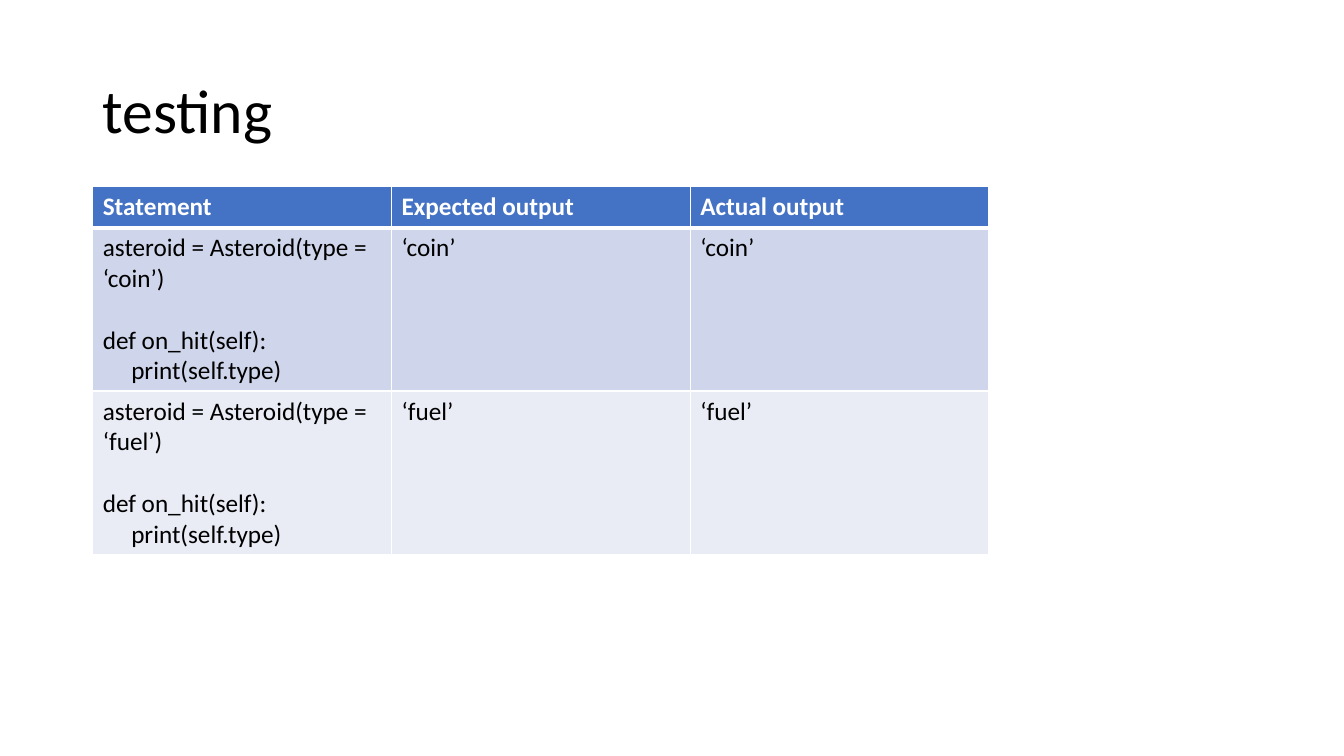
from dataclasses import dataclass

from lxml.etree import SubElement
from pptx import Presentation
from pptx.dml.color import RGBColor
from pptx.enum.text import MSO_ANCHOR
from pptx.oxml.ns import qn
from pptx.util import Inches, Pt


@dataclass(frozen=True)
class Theme:
    font: str = "Calibri"
    title_size: float = 44
    body_size: float = 18
    ink: str = "000000"
    paper: str = "FFFFFF"
    header: str = "4472C4"
    bands: tuple = ("CFD5EA", "E9EBF5")
    rule: float = 1
    header_rule: float = 3
    code_gap: float = 22


THEME = Theme()
HEADINGS = ("Statement", "Expected output", "Actual output")
ASTEROID_TYPES = ("‘coin’", "‘fuel’")
HEADER_HEIGHT, TEST_HEIGHT = 0.41, 1.62


def add_text(paragraph, text, size, color, bold=False):
    run = paragraph.add_run()
    run.text = text
    run.font.name = THEME.font
    run.font.size = Pt(size)
    run.font.bold = bold
    run.font.color.rgb = RGBColor.from_string(color)


def add_title(slide, box, text):
    frame = slide.shapes.add_textbox(*map(Inches, box)).text_frame
    frame.word_wrap = True
    frame.vertical_anchor = MSO_ANCHOR.MIDDLE
    paragraph = frame.paragraphs[0]
    paragraph.line_spacing = 0.9
    add_text(paragraph, text, THEME.title_size, THEME.ink)


def style_cell(cell, fill, top, bottom):
    """Draw the cell's four borders, then its fill, as the schema orders them."""
    properties = cell._tc.get_or_add_tcPr()
    widths = {"L": THEME.rule, "R": THEME.rule, "T": top, "B": bottom}
    for side, width in widths.items():
        border = SubElement(properties, qn(f"a:ln{side}"), w=str(Pt(width)))
        paint = SubElement(border, qn("a:solidFill"))
        SubElement(paint, qn("a:srgbClr"), val=THEME.paper)
    cell.fill.solid()
    cell.fill.fore_color.rgb = RGBColor.from_string(fill)


def fill_cell(cell, lines, color, bold=False):
    frame = cell.text_frame
    for index, line in enumerate(lines):
        paragraph = frame.add_paragraph() if index else frame.paragraphs[0]
        if line.startswith("def "):
            paragraph.space_before = Pt(THEME.code_gap)
        add_text(paragraph, line, THEME.body_size, color, bold)


def add_test_table(slide, box):
    tests = [
        (
            (f"asteroid = Asteroid(type = {kind})", "def on_hit(self):", "     print(self.type)"),
            (kind,),
            (kind,),
        )
        for kind in ASTEROID_TYPES
    ]
    table = slide.shapes.add_table(
        len(tests) + 1, len(HEADINGS), *map(Inches, box)
    ).table
    table.rows[0].height = Inches(HEADER_HEIGHT)

    for column, heading in enumerate(HEADINGS):
        cell = table.cell(0, column)
        style_cell(cell, THEME.header, THEME.rule, THEME.header_rule)
        fill_cell(cell, (heading,), THEME.paper, bold=True)

    for row, test in enumerate(tests, start=1):
        table.rows[row].height = Inches(TEST_HEIGHT)
        top = THEME.header_rule if row == 1 else THEME.rule
        band = THEME.bands[(row - 1) % len(THEME.bands)]
        for column, lines in enumerate(test):
            cell = table.cell(row, column)
            style_cell(cell, band, top, THEME.rule)
            fill_cell(cell, lines, THEME.ink)


def main():
    deck = Presentation()
    deck.slide_width, deck.slide_height = Inches(13.33), Inches(7.5)
    slide = deck.slides.add_slide(deck.slide_layouts[6])
    left, title_top, title_height = 0.92, 0.4, 1.45
    add_title(slide, (left, title_top, 11.5, title_height), "testing")
    table_height = HEADER_HEIGHT + TEST_HEIGHT * len(ASTEROID_TYPES)
    add_test_table(slide, (left, title_top + title_height, 8.89, table_height))
    deck.save("out.pptx")


if __name__ == "__main__":
    main()
